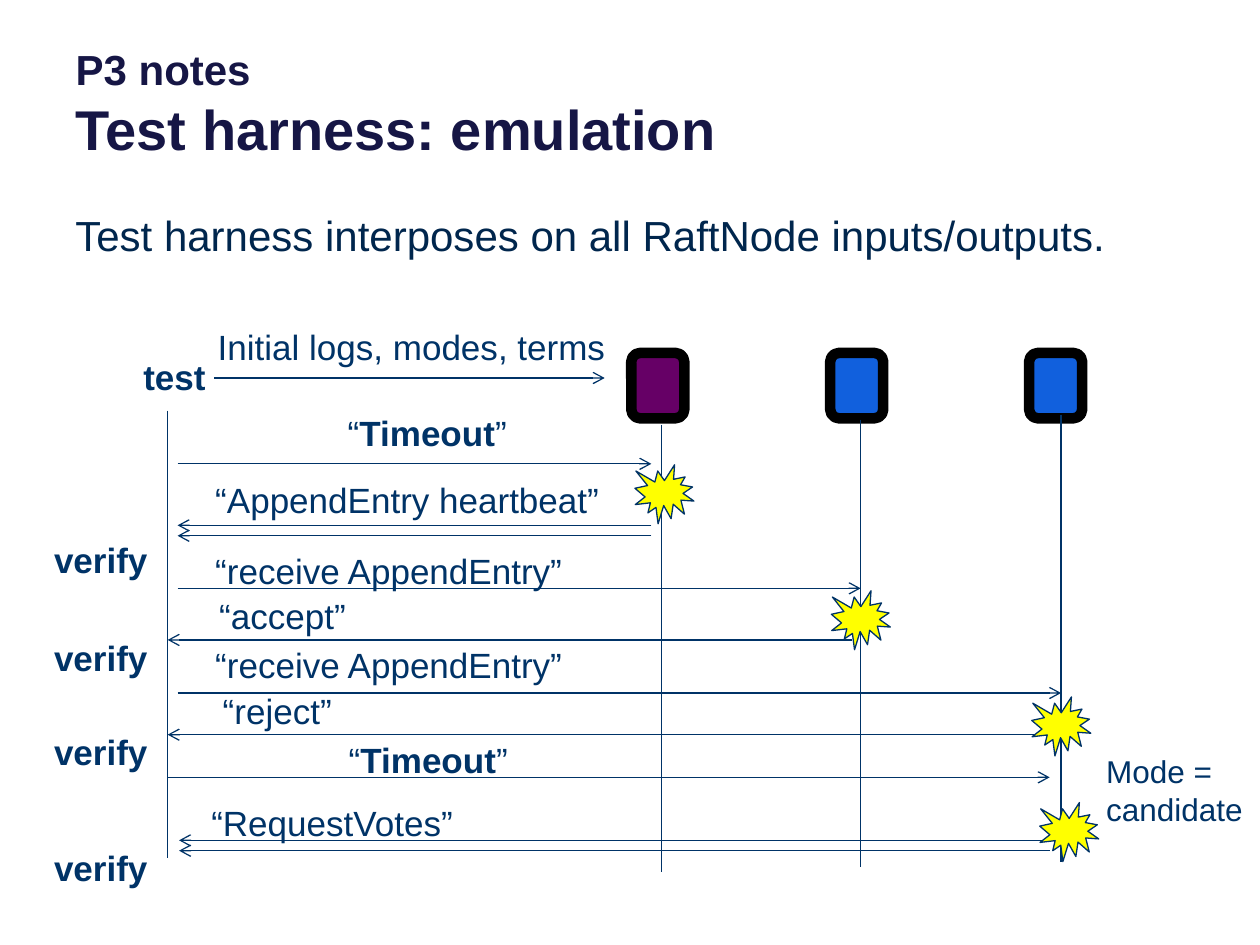
from dataclasses import dataclass

from lxml.etree import SubElement
from pptx import Presentation
from pptx.dml.color import RGBColor
from pptx.enum.shapes import MSO_CONNECTOR, MSO_SHAPE as Shape
from pptx.enum.text import MSO_ANCHOR, MSO_AUTO_SIZE as AutoSize, PP_ALIGN
from pptx.oxml.ns import qn
from pptx.util import Cm, Pt


@dataclass(frozen=True)
class Theme:
    font: str = "Arial"
    title: str = "161645"
    body: str = "00264D"
    ink: str = "003367"
    leader: str = "660066"
    follower: str = "1160DD"
    border: str = "000000"
    burst: str = "FFFF00"
    heading_size: int = 32
    body_size: int = 24
    label_size: int = 20
    note_size: int = 18
    thin: float = 0.75
    thick: float = 6


THEME = Theme()

TITLE = [("P3 notes", THEME.body_size), ("Test harness: emulation", THEME.heading_size)]
STATEMENT = "Test harness interposes on all RaftNode inputs/outputs."

# All places are in centimetres.
TEST_X, NODE_X = 3.38, (13.34, 17.35, 21.39)
NODE_LEFT, NODE_STEP, NODE_TOP, NODE_SIZE = 12.6, 4.01, 7.24, (1.32, 1.07)
NODE_COLORS = (THEME.leader, THEME.follower, THEME.follower)
LIFELINE_LENGTH = 9.02
LIFELINES = [(TEST_X, 8.28), *zip(NODE_X, (8.56, 8.46, 8.36))]

# Messages: start x, end x, y
MESSAGES = [
    (4.32, 12.19, 7.62),
    (3.58, 13.13, 9.35),
    (13.13, 3.58, 10.59),
    (13.13, 3.58, 10.8),
    (3.58, NODE_X[1], 11.86),
    (17.17, TEST_X, 12.9),
    (3.58, NODE_X[2], 13.97),
    (21.18, TEST_X, 14.81),
    (TEST_X, 21.16, 15.67),
    (21.16, 3.61, 16.94),
    (21.16, 3.61, 17.15),
]

# Labels: text (bold between asterisks), left, top, width
LABEL_HEIGHT = 1.12
LABELS = [
    ("*test*", 2.64, 7.04, 1.91),
    ("Initial logs, modes, terms", 4.14, 6.43, 8.99),
    ("“*Timeout*”", 6.76, 8.18, 3.76),
    ("“AppendEntry heartbeat”", 4.09, 9.53, 9.04),
    ("“receive AppendEntry”", 4.09, 10.95, 9.04),
    ("“accept”", 4.17, 11.86, 9.04),
    ("“receive AppendEntry”", 4.09, 12.85, 9.04),
    ("“reject”", 4.24, 13.77, 9.04),
    ("“*Timeout*”", 6.78, 14.76, 3.76),
    ("“RequestVotes”", 4.01, 16.03, 9.04),
]
VERIFY_TOPS = (10.74, 12.7, 14.61, 16.94)
LABELS += [("*verify*", 0.84, top, 2.41) for top in VERIFY_TOPS]

BURST_SIZE = 1.19
BURSTS = [(12.8, 9.37), (16.76, 11.91), (20.8, 14.05), (20.96, 16.18)]
MODE_NOTE = "Mode = candidate"


def rgb(color):
    return RGBColor.from_string(color)


def add_text(slide, text, left, top, width, height, size, color=THEME.ink):
    """Add a text box; parts of the text between asterisks are bold."""
    frame = slide.shapes.add_textbox(Cm(left), Cm(top), Cm(width), Cm(height)).text_frame
    frame.word_wrap = True
    frame.auto_size = AutoSize.SHAPE_TO_FIT_TEXT
    paragraph = frame.paragraphs[0]
    paragraph.font.name = THEME.font
    paragraph.font.size = Pt(size)
    paragraph.font.color.rgb = rgb(color)
    for index, part in enumerate(text.split("*")):
        if part:
            run = paragraph.add_run()
            run.text = part
            run.font.bold = index % 2 == 1


def add_figure(slide, kind, left, top, width, height, fill, line, weight):
    figure = slide.shapes.add_shape(kind, Cm(left), Cm(top), Cm(width), Cm(height))
    figure.shadow.inherit = False
    figure.fill.solid()
    figure.fill.fore_color.rgb = rgb(fill)
    figure.line.color.rgb = rgb(line)
    figure.line.width = Pt(weight)
    return figure


def add_line(slide, x1, y1, x2, y2, arrow=False):
    connector = slide.shapes.add_connector(
        MSO_CONNECTOR.STRAIGHT, Cm(x1), Cm(y1), Cm(x2), Cm(y2))
    connector.line.color.rgb = rgb(THEME.ink)
    connector.line.width = Pt(THEME.thin)
    if arrow:
        SubElement(connector.line._get_or_add_ln(), qn("a:tailEnd"), type="arrow")
    SubElement(connector._element.spPr, qn("a:effectLst"))


def fill_title(title):
    title.left, title.top, title.width, title.height = Cm(1.27), Cm(-0.94), Cm(22.86), Cm(4.32)
    frame = title.text_frame
    frame.vertical_anchor = MSO_ANCHOR.BOTTOM
    frame.auto_size = AutoSize.NONE
    paragraph = frame.paragraphs[0]
    paragraph.alignment = PP_ALIGN.LEFT
    paragraph.font.name = THEME.font
    paragraph.font.bold = True
    paragraph.font.color.rgb = rgb(THEME.title)
    for index, (text, size) in enumerate(TITLE):
        if index:
            paragraph.add_line_break()
        run = paragraph.add_run()
        run.text = text
        run.font.size = Pt(size)


def main():
    deck = Presentation()
    deck.slide_width, deck.slide_height = Cm(25.4), Cm(19.05)
    slide = deck.slides.add_slide(deck.slide_layouts[5])

    fill_title(slide.shapes.title)
    add_text(slide, STATEMENT, 1.27, 4.1, 22.86, 3.18, THEME.body_size, THEME.body)

    for index, color in enumerate(NODE_COLORS):
        node = add_figure(slide, Shape.ROUNDED_RECTANGLE, NODE_LEFT + index * NODE_STEP,
                          NODE_TOP, *NODE_SIZE, color, THEME.border, THEME.thick)
        node.rotation = 90
    for x, top in LIFELINES:
        add_line(slide, x, top, x, top + LIFELINE_LENGTH)
    for start, end, y in MESSAGES:
        add_line(slide, start, y, end, y, arrow=True)
    for text, left, top, width in LABELS:
        add_text(slide, text, left, top, width, LABEL_HEIGHT, THEME.label_size)
    for left, top in BURSTS:
        add_figure(slide, Shape.EXPLOSION1, left, top, BURST_SIZE, BURST_SIZE,
                   THEME.burst, THEME.ink, THEME.thin)
    add_text(slide, MODE_NOTE, 22.05, 15.04, 3.58, 1.8, THEME.note_size)

    deck.save("out.pptx")


if __name__ == "__main__":
    main()
